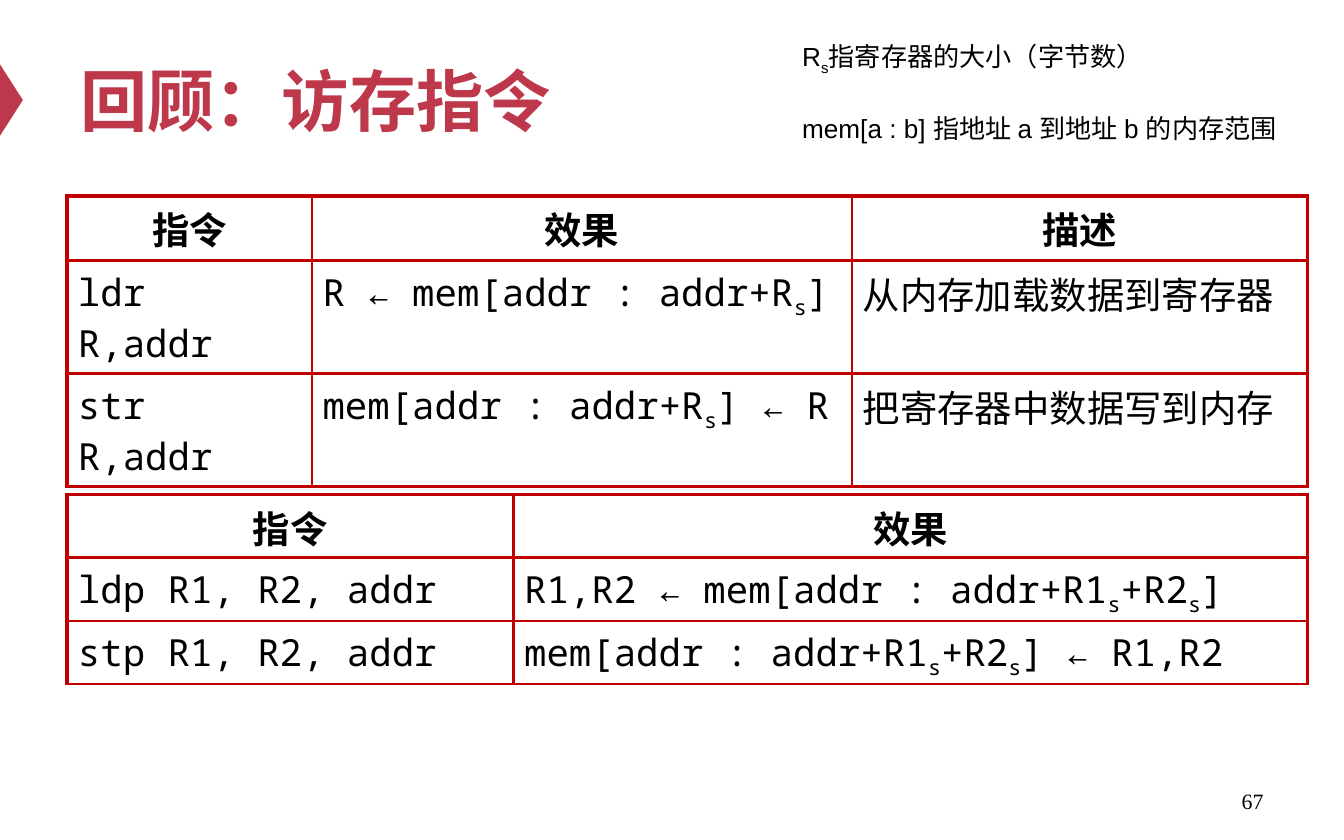
from lxml import etree
from pptx import Presentation
from pptx import util as u
from pptx.dml.color import RGBColor
from pptx.enum import shapes, text
from pptx.oxml.ns import qn

CRIMSON = RGBColor(0xBE, 0x38, 0x4B)
RULE_RED = RGBColor(0xC0, 0x00, 0x00)
BLACK = RGBColor(0x00, 0x00, 0x00)

SANS, CJK, MONO, SERIF = "Arial", "Noto Sans CJK SC", "Noto Sans Mono", "Times New Roman"
COLUMNS, ROWS = 40, 25
THIN, THICK = 1.5, 2.25
ALIGN = text.PP_ALIGN


class SlideBuilder:
    """Holds the slide and places elements on a 40 by 25 grid."""

    def __init__(self, presentation):
        self.cell_width = presentation.slide_width / COLUMNS
        self.cell_height = presentation.slide_height / ROWS
        self.slide = presentation.slides.add_slide(presentation.slide_layouts[6])

    def x(self, columns):
        return u.Emu(round(columns * self.cell_width))

    def y(self, rows):
        return u.Emu(round(rows * self.cell_height))

    def box(self, left, top, width, height):
        return self.x(left), self.y(top), self.x(width), self.y(height)

    def fill_paragraph(self, paragraph, content, size, font, color=BLACK, bold=False,
                       align=ALIGN.LEFT):
        """Fill a paragraph; the letter after each underscore is a subscript."""
        paragraph.alignment = align
        style = paragraph.font
        style.size, style.bold, style.name = u.Pt(size), bold, font
        style.color.rgb = color
        defaults = paragraph._p.pPr.find(qn("a:defRPr"))
        etree.SubElement(defaults, qn("a:ea")).set("typeface", CJK)

        first, *others = content.split("_")
        paragraph.add_run().text = first
        for part in others:
            subscript = paragraph.add_run()
            subscript.text = part[0]
            subscript._r.get_or_add_rPr().set("baseline", "-25000")
            if part[1:]:
                paragraph.add_run().text = part[1:]

    def text(self, position, lines, size, font, anchor=text.MSO_ANCHOR.MIDDLE,
             pitch=None, gap=0, **style):
        frame = self.slide.shapes.add_textbox(*self.box(*position)).text_frame
        frame.word_wrap = True
        frame.vertical_anchor = anchor
        for index, line in enumerate(lines):
            paragraph = frame.add_paragraph() if index else frame.paragraphs[0]
            if pitch:
                paragraph.line_spacing = u.Pt(pitch)
            if index and gap:
                paragraph.space_before = u.Pt(gap)
            self.fill_paragraph(paragraph, line, size, font, **style)

    def triangle(self, position, rotation, color):
        shape = self.slide.shapes.add_shape(
            shapes.MSO_SHAPE.ISOSCELES_TRIANGLE, *self.box(*position))
        shape.rotation = rotation
        shape.shadow.inherit = False
        shape.fill.solid()
        shape.fill.fore_color.rgb = color
        shape.line.fill.background()

    def borders(self, cell, widths):
        properties = cell._tc.get_or_add_tcPr()
        for side, width in zip("LRTB", widths):
            line = etree.SubElement(properties, qn(f"a:ln{side}"), w=str(u.Pt(width)))
            fill = etree.SubElement(line, qn("a:solidFill"))
            etree.SubElement(fill, qn("a:srgbClr"), val=str(RULE_RED))
        cell.fill.background()

    def table(self, left, top, widths, heights, records, fonts, right_edge):
        table = self.slide.shapes.add_table(
            len(heights), len(widths),
            *self.box(left, top, sum(widths), sum(heights))).table
        table.first_row = table.horz_banding = False
        for column, width in zip(table.columns, widths):
            column.width = self.x(width)
        for row, height in zip(table.rows, heights):
            row.height = self.y(height)
        last = len(widths) - 1
        for i, record in enumerate(records):
            for j, content in enumerate(record):
                cell = table.cell(i, j)
                cell.margin_left = cell.margin_right = u.Inches(0.08)
                cell.margin_top = cell.margin_bottom = u.Inches(0.04)
                header = i == 0
                self.fill_paragraph(cell.text_frame.paragraphs[0], content, 20,
                                    SANS if header else fonts[j], bold=header,
                                    align=ALIGN.CENTER if header else ALIGN.LEFT)
                self.borders(cell, (THIN if j else THICK,
                                    right_edge if j == last else THIN,
                                    THICK if header else THIN, THIN))


def main():
    presentation = Presentation()
    presentation.slide_width, presentation.slide_height = u.Inches(10), u.Inches(6.25)
    builder = SlideBuilder(presentation)

    # Title with its marker, and the page number
    builder.triangle((-0.72, 2.64, 2.12, 0.68), 90, CRIMSON)
    builder.text((2, 1, 36, 3.92), ["回顾：访存指令"], 36, CJK, color=CRIMSON, bold=True)
    builder.text((28.68, 23.16, 9.32, 1.32), ["67"], 11.7, SERIF, align=ALIGN.RIGHT)

    # Notation
    builder.text((23.48, 1.08, 15.08, 4.16),
                 ["R_s指寄存器的大小（字节数）", "mem[a : b] 指地址 a 到地址 b 的内存范围"],
                 14, SANS, anchor=text.MSO_ANCHOR.TOP, pitch=18, gap=18,
                 align=ALIGN.JUSTIFY)

    # Single-register instructions
    builder.table(2, 5.84, (7.28, 16.08, 13.56), (1.92, 3.36, 3.36), [
        ("指令", "效果", "描述"),
        ("ldr R,addr", "R ← mem[addr : addr+R_s]", "从内存加载数据到寄存器"),
        ("str R,addr", "mem[addr : addr+R_s] ← R", "把寄存器中数据写到内存"),
    ], (MONO, MONO, CJK), THICK)

    # Register-pair instructions
    builder.table(2, 14.72, (13.28, 23.64), (1.88,) * 3, [
        ("指令", "效果"),
        ("ldp R1, R2, addr", "R1,R2 ← mem[addr : addr+R1_s+R2_s]"),
        ("stp R1, R2, addr", "mem[addr : addr+R1_s+R2_s] ← R1,R2"),
    ], (MONO, MONO), THIN)

    presentation.save("out.pptx")


if __name__ == "__main__":
    main()
